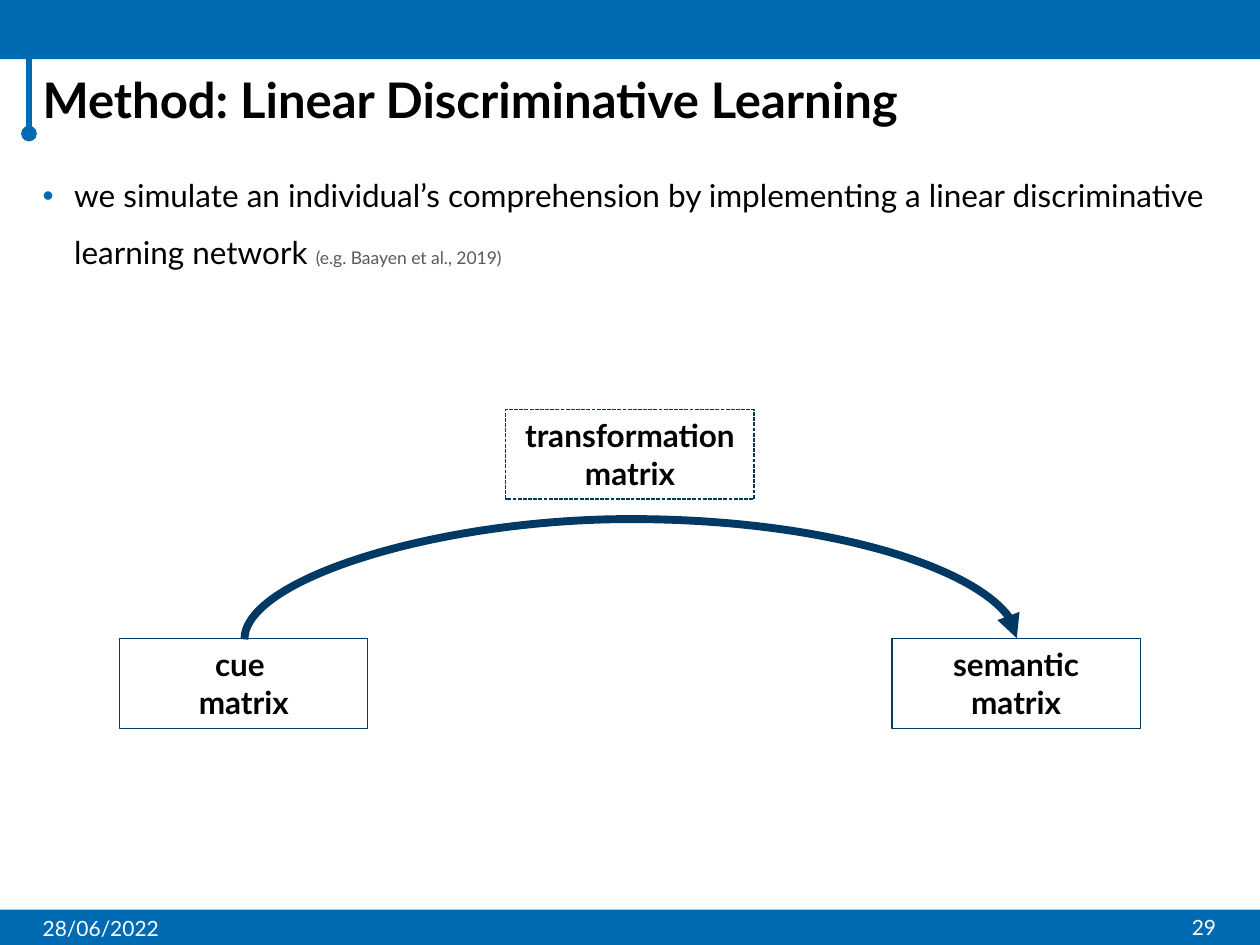
from lxml import etree
from pptx import Presentation
from pptx.dml.color import RGBColor
from pptx.enum.dml import MSO_LINE
from pptx.enum.shapes import MSO_CONNECTOR, MSO_SHAPE
from pptx.enum.text import MSO_ANCHOR, PP_ALIGN
from pptx.oxml.ns import qn
from pptx.util import Inches, Pt

RECTANGLE = MSO_SHAPE.RECTANGLE
STRAIGHT, CURVE = MSO_CONNECTOR.STRAIGHT, MSO_CONNECTOR.CURVE
TOP, MIDDLE = MSO_ANCHOR.TOP, MSO_ANCHOR.MIDDLE
LEFT, CENTER, RIGHT = PP_ALIGN.LEFT, PP_ALIGN.CENTER, PP_ALIGN.RIGHT
DASH = MSO_LINE.SQUARE_DOT  # written as sysDot, see add_matrix

FONT = "Lato"
BLUE, NAVY, BLACK, GRAY, WHITE = "006AB3", "003964", "000000", "595959", "FFFFFF"
BOX_WIDTH, BOX_HEIGHT = 1.97, 0.71


def color(hex_string):
    return RGBColor.from_string(hex_string)


def style_paragraph(paragraph, size, hex_string, bold=False, align=LEFT):
    paragraph.alignment = align
    font = paragraph.font
    font.name, font.size, font.bold = FONT, Pt(size), bold
    font.color.rgb = color(hex_string)


def add_text(slide, box, text, size, hex_string, anchor=MIDDLE, **style):
    shape = slide.shapes.add_textbox(*map(Inches, box))
    frame = shape.text_frame
    frame.word_wrap = True
    frame.vertical_anchor = anchor
    paragraph = frame.paragraphs[0]
    paragraph.add_run().text = text
    style_paragraph(paragraph, size, hex_string, **style)
    return paragraph


def add_bar(slide, box):
    shape = slide.shapes.add_shape(RECTANGLE, *map(Inches, box))
    shape.shadow.inherit = False
    shape.fill.solid()
    shape.fill.fore_color.rgb = color(BLUE)
    shape.line.fill.background()


def add_line(slide, kind, start, end, hex_string, width, **arrowheads):
    connector = slide.shapes.add_connector(kind, *map(Inches, start + end))
    connector.line.color.rgb = color(hex_string)
    connector.line.width = Pt(width)
    properties = connector._element.spPr
    line = properties.find(qn("a:ln"))
    for tag, kind_name in arrowheads.items():
        etree.SubElement(line, qn(f"a:{tag}"), type=kind_name)
    etree.SubElement(properties, qn("a:effectLst"))
    return connector


def add_header(slide, box):
    left, top, width, height = box
    add_bar(slide, box)
    add_line(slide, STRAIGHT, (0.23, 0.35), (0.23, 1.06), BLUE, 3,
             headEnd="oval", tailEnd="oval")
    title = add_text(slide, (left + 0.24, top + 0.58, 9.51, 0.47),
                     "Method: Linear Discriminative Learning", 28, BLACK, bold=True)
    title.line_spacing = 0.9


def add_body(slide, box):
    paragraph = add_text(
        slide, box,
        "we simulate an individual’s comprehension by implementing a linear "
        "discriminative learning network ", 18, BLACK, anchor=TOP)
    paragraph.line_spacing = 1.5
    paragraph.space_before = Pt(10)
    citation = paragraph.add_run()
    citation.text = "(e.g. Baayen et al., 2019)"
    citation.font.size = Pt(10)
    citation.font.color.rgb = color(GRAY)
    # Hanging bullet
    properties = paragraph._p.get_or_add_pPr()
    properties.set("marL", str(Inches(0.25)))
    properties.set("indent", str(-Inches(0.25)))
    bullet_color = etree.Element(qn("a:buClr"))
    etree.SubElement(bullet_color, qn("a:srgbClr"), val=BLUE)
    bullet_font = etree.Element(qn("a:buFont"), typeface="Arial")
    bullet = etree.Element(qn("a:buChar"), char="•")
    properties.find(qn("a:defRPr")).addprevious(bullet_color)
    bullet_color.addnext(bullet_font)
    bullet_font.addnext(bullet)


def add_footer(slide, box):
    left, top, width, height = box
    add_bar(slide, box)
    add_text(slide, (left + 0.24, top - 0.05, 2.25, 0.4), "28/06/2022", 12, WHITE)
    add_text(slide, (left + 7.5, top - 0.06, 2.25, 0.4), "29", 12, WHITE, align=RIGHT)


def add_matrix(slide, left, top, lines, dashed=False):
    shape = slide.shapes.add_shape(
        RECTANGLE, *map(Inches, (left, top, BOX_WIDTH, BOX_HEIGHT)))
    shape.shadow.inherit = False
    shape.fill.background()
    shape.line.color.rgb = color(NAVY)
    shape.line.width = Pt(0.75)
    if dashed:
        shape.line.dash_style = DASH
        shape.line._ln.find(qn("a:prstDash")).set("val", "sysDash")
    frame = shape.text_frame
    frame.word_wrap = True
    frame.vertical_anchor = TOP
    frame.text = "\n".join(lines)
    for paragraph in frame.paragraphs:
        style_paragraph(paragraph, 18, BLACK, bold=True, align=CENTER)


def add_diagram(slide, box):
    left, top, width, height = box
    lower = top + height - BOX_HEIGHT
    right = left + width - BOX_WIDTH
    add_matrix(slide, left, lower, ["cue ", "matrix"])
    add_matrix(slide, right, lower, ["semantic matrix"])
    add_matrix(slide, (left + right) / 2, top, ["transformation matrix"], dashed=True)

    # Arc from cue to semantic matrix: an upright curve turned by 90 degrees
    span, thickness, rise = right - left, 0.01, 0.97
    middle = left + width / 2
    arc = add_line(slide, CURVE,
                   (middle + thickness, lower + span / 2),
                   (middle, lower - span / 2), NAVY, 4.5, tailEnd="triangle")
    properties = arc._element.spPr
    properties.find(qn("a:xfrm")).set("rot", str(90 * 60000))
    geometry = properties.find(qn("a:prstGeom"))
    guides = geometry.find(qn("a:avLst"))
    if guides is None:
        guides = etree.SubElement(geometry, qn("a:avLst"))
    etree.SubElement(guides, qn("a:gd"), name="adj1",
                     fmla=f"val {round(rise / thickness * 100000)}")


def main():
    presentation = Presentation()
    presentation.slide_width, presentation.slide_height = Inches(10), Inches(7.5)
    slide = presentation.slides.add_slide(presentation.slide_layouts[6])
    add_header(slide, (0, 0, 10, 0.47))
    add_body(slide, (0.24, 1.2, 9.51, 5.89))
    add_footer(slide, (0, 7.22, 10, 0.28))
    add_diagram(slide, (0.95, 3.25, 8.1, 2.53))
    presentation.save("out.pptx")


if __name__ == "__main__":
    main()
